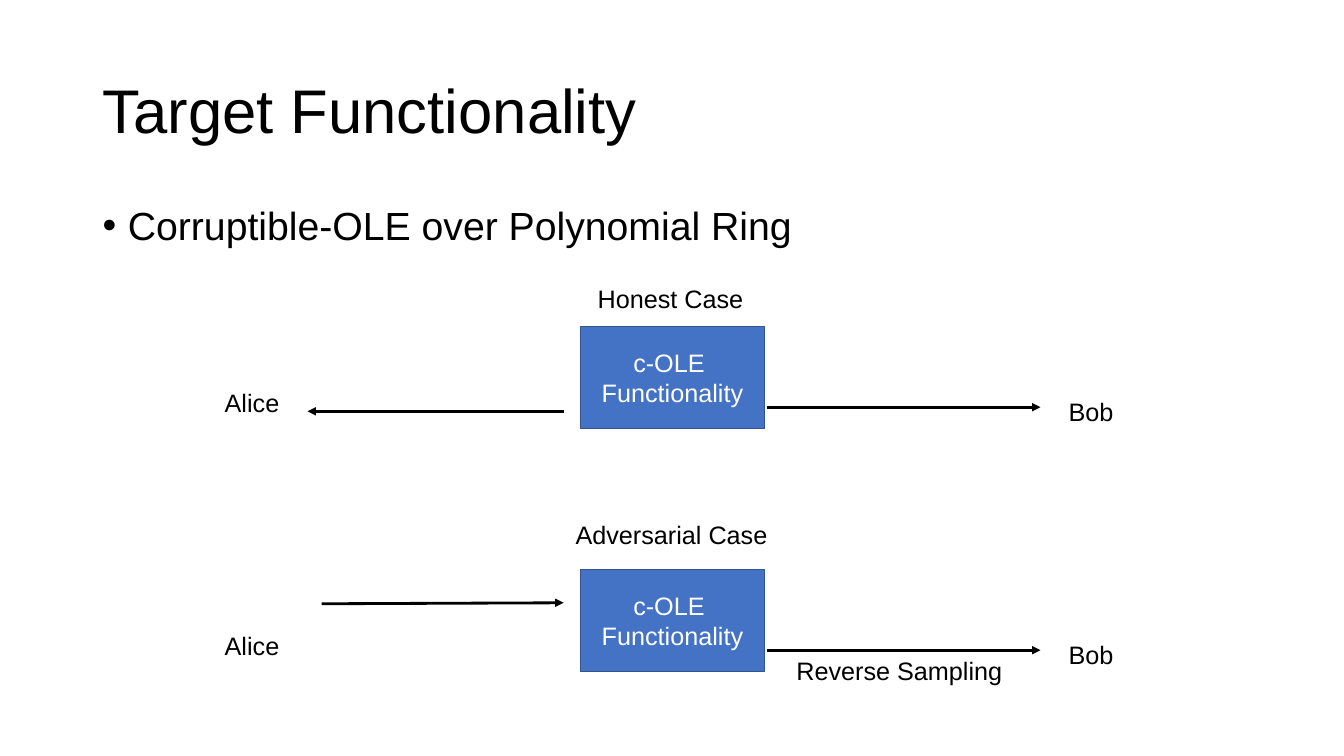
from dataclasses import dataclass

from lxml import etree
from pptx import Presentation
from pptx.enum import shapes, text
from pptx.dml.color import RGBColor
from pptx.oxml import ns
from pptx.util import Inches, Pt

FONT = "Arial"
COLORS = {"ink": "000000", "box": "4472C4", "box_line": "325491", "box_text": "FFFFFF"}


@dataclass
class Label:
    words: str
    left: float
    top: float
    width: float
    height: float = 0.4
    size: int = 18
    wrap: bool = False


@dataclass
class Arrow:
    start: tuple[float, float]
    end: tuple[float, float]


@dataclass
class Case:
    top: float
    heading: Label
    alice_arrow: Arrow


TITLE = Label("Target Functionality", 0.92, 0.4, 11.5, 1.45, 44, True)
BULLET = Label("Corruptible-OLE over Polynomial Ring", 0.92, 2, 11.5, 1, 28, True)
SAMPLING = Label("Reverse Sampling", 7.8, 6.45, 2.35)
CASES = [
    Case(3.24, Label("Honest Case", 5.83, 2.76, 1.66), Arrow((5.59, 4.08), (3.05, 4.08))),
    Case(5.65, Label("Adversarial Case", 5.61, 5.1, 2.12), Arrow((3.19, 5.99), (5.59, 5.98))),
]


def color(name: str) -> RGBColor:
    return RGBColor.from_string(COLORS[name])


def style(paragraph, size: int, color_name: str) -> None:
    paragraph.font.name = FONT
    paragraph.font.size = Pt(size)
    paragraph.font.color.rgb = color(color_name)


def add_label(slide, label: Label):
    """Add a one-line text box and return its shape."""
    shape = slide.shapes.add_textbox(
        Inches(label.left), Inches(label.top), Inches(label.width), Inches(label.height))
    frame = shape.text_frame
    frame.word_wrap = label.wrap
    if not label.wrap:
        frame.auto_size = text.MSO_AUTO_SIZE.SHAPE_TO_FIT_TEXT
    frame.text = label.words
    style(frame.paragraphs[0], label.size, "ink")
    return shape


def add_title(slide) -> None:
    frame = add_label(slide, TITLE).text_frame
    frame.vertical_anchor = text.MSO_ANCHOR.MIDDLE
    frame.paragraphs[0].line_spacing = 0.9


def add_bullet(slide) -> None:
    paragraph = add_label(slide, BULLET).text_frame.paragraphs[0]
    paragraph.line_spacing = 0.9
    properties = paragraph._p.get_or_add_pPr()
    properties.set("marL", str(Inches(0.25)))
    properties.set("indent", str(Inches(-0.25)))
    bullet_font = etree.Element(ns.qn("a:buFont"), typeface=FONT)
    bullet = etree.Element(ns.qn("a:buChar"), char="•")
    default_run = properties.find(ns.qn("a:defRPr"))
    for element in (bullet_font, bullet):
        default_run.addprevious(element)


def add_functionality(slide, top: float) -> None:
    shape = slide.shapes.add_shape(
        shapes.MSO_SHAPE.RECTANGLE, Inches(5.76), Inches(top), Inches(1.82), Inches(1.01))
    shape.shadow.inherit = False
    shape.fill.solid()
    shape.fill.fore_color.rgb = color("box")
    shape.line.color.rgb = color("box_line")
    shape.line.width = Pt(1)
    frame = shape.text_frame
    frame.vertical_anchor = text.MSO_ANCHOR.MIDDLE
    frame.text = "c-OLE \nFunctionality"
    for paragraph in frame.paragraphs:
        paragraph.alignment = text.PP_ALIGN.CENTER
        style(paragraph, 18, "box_text")


def add_arrow(slide, arrow: Arrow) -> None:
    connector = slide.shapes.add_connector(
        shapes.MSO_CONNECTOR.STRAIGHT, *map(Inches, arrow.start + arrow.end))
    connector.line.color.rgb = color("ink")
    connector.line.width = Pt(2)
    etree.SubElement(connector.line._get_or_add_ln(), ns.qn("a:tailEnd"), type="triangle")
    etree.SubElement(connector._element.spPr, ns.qn("a:effectLst"))


def add_case(slide, case: Case) -> None:
    """Draw one protocol run: heading, both parties, the box and its arrows."""
    add_label(slide, case.heading)
    add_label(slide, Label("Alice", 2.13, case.top + 0.55, 0.75))
    add_label(slide, Label("Bob", 10.5, case.top + 0.64, 0.65))
    add_functionality(slide, case.top)
    add_arrow(slide, case.alice_arrow)
    bob_level = case.top + 0.8
    add_arrow(slide, Arrow((7.61, bob_level), (10.32, bob_level)))


def main() -> None:
    presentation = Presentation()
    presentation.slide_width = Inches(13.33)
    presentation.slide_height = Inches(7.5)
    slide = presentation.slides.add_slide(presentation.slide_layouts[6])
    add_title(slide)
    add_bullet(slide)
    for case in CASES:
        add_case(slide, case)
    add_label(slide, SAMPLING)
    presentation.save("out.pptx")


if __name__ == "__main__":
    main()
